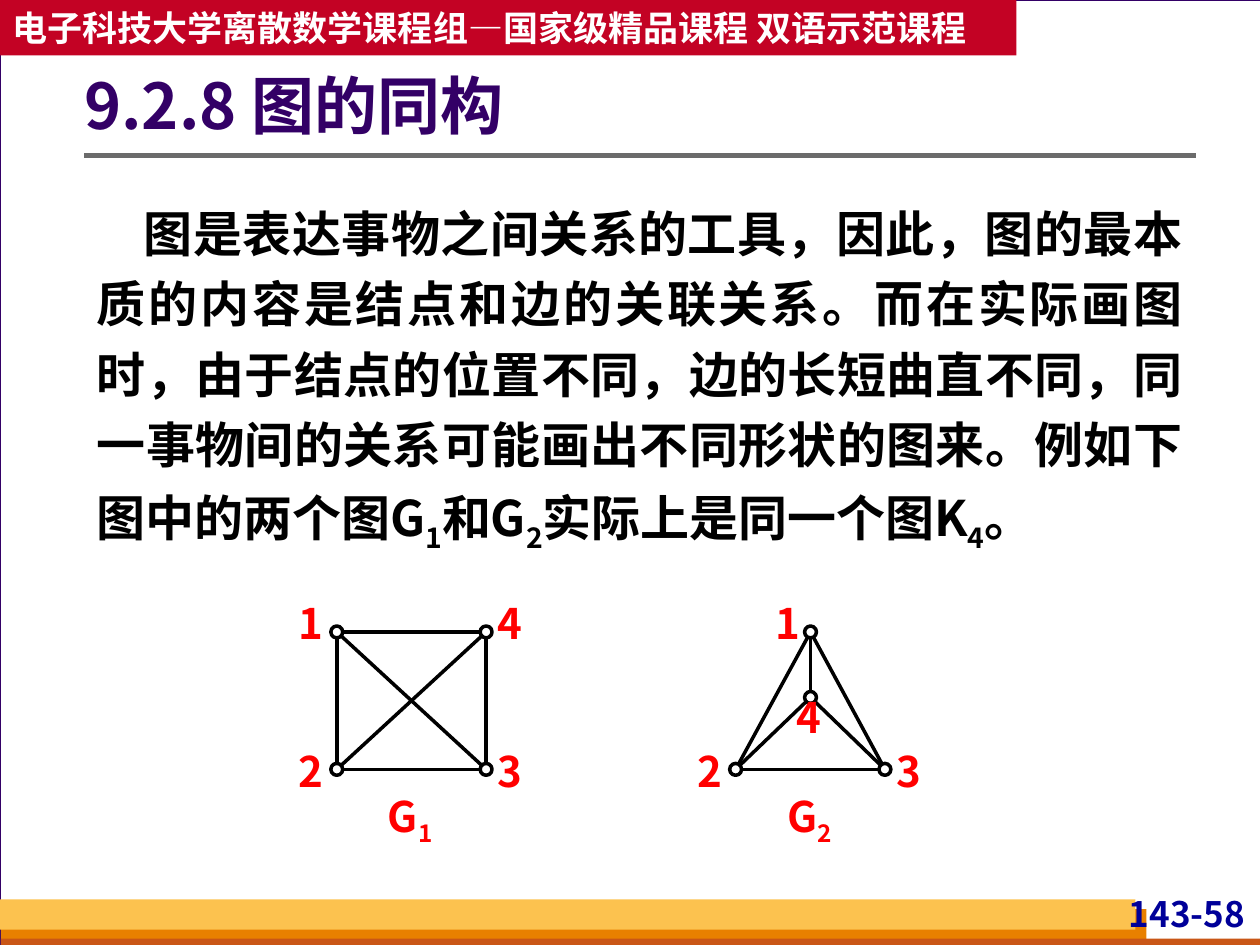
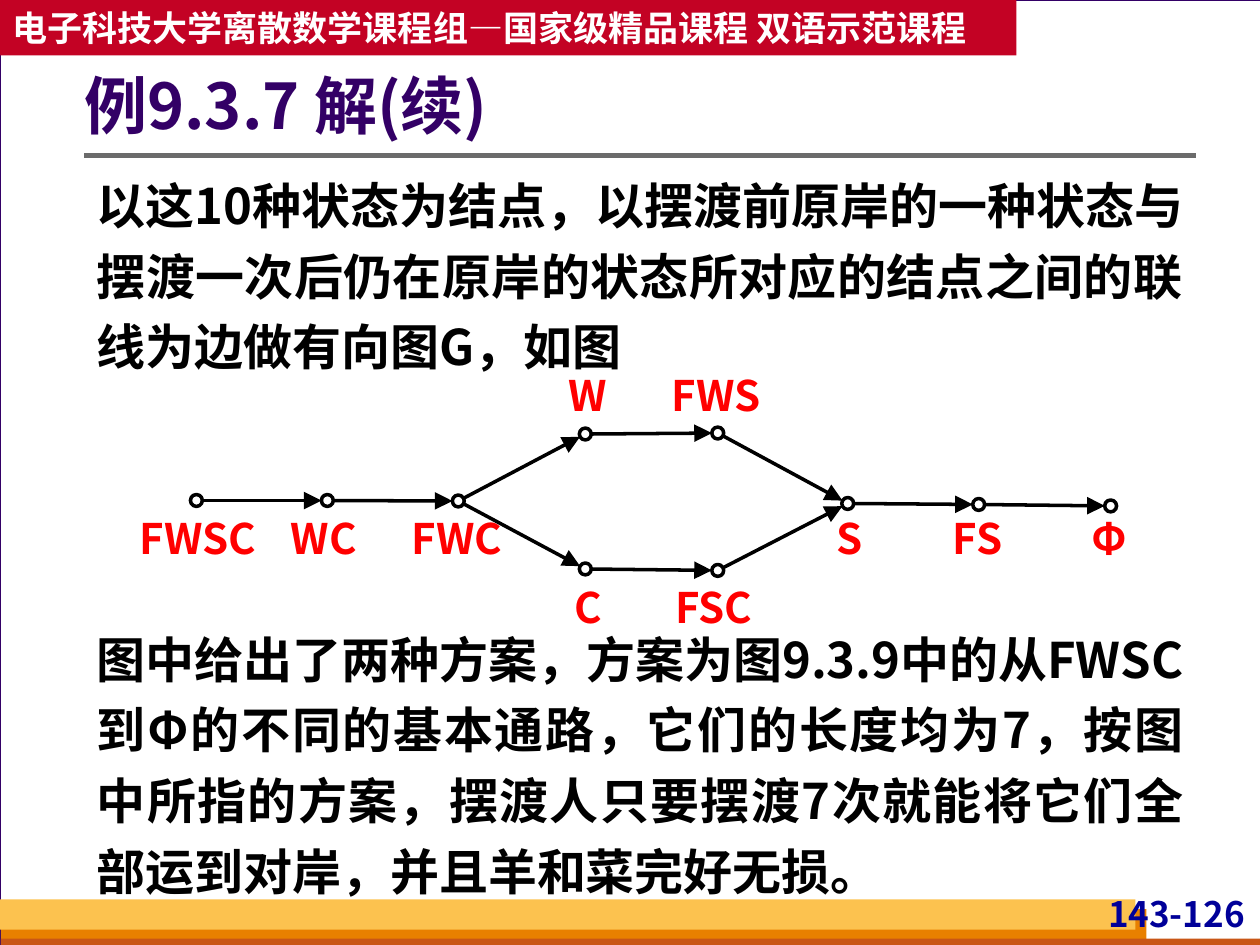
from math import hypot

from lxml import etree
from pptx import Presentation
from pptx.dml.color import RGBColor
from pptx.enum.shapes import MSO_CONNECTOR, MSO_SHAPE
from pptx.enum.text import MSO_ANCHOR, PP_ALIGN
from pptx.oxml.ns import qn
from pptx.util import Cm, Pt

FONT = "Noto Sans CJK SC"
WHITE = RGBColor(0xFF, 0xFF, 0xFF)
BLACK = RGBColor(0, 0, 0)
PURPLE = RGBColor(0x33, 0x00, 0x66)
NAVY = RGBColor(0x00, 0x00, 0x99)
CRIMSON = RGBColor(0xC3, 0x02, 0x24)
RED = RGBColor(0xFF, 0, 0)
GREY = RGBColor(0x6B, 0x6B, 0x6B)
AMBER = RGBColor(0xFC, 0xC2, 0x4F)
ORANGE = RGBColor(0xE8, 0x80, 0x00)
RUST = RGBColor(0xC9, 0x56, 0x16)
BACKDROP = RGBColor(0xD8, 0xDA, 0xDA)

HEADER = "电子科技大学离散数学课程组—国家级精品课程 双语示范课程"
RADIUS = 0.12

# left, top, width, height, fill
BANDS = [
    (0, 0, 25.42, 19.05, WHITE),
    (0.02, 18.33, 23.09, 0.72, ORANGE),
    (0.02, 18.92, 25.38, 0.13, RUST),
    (0, 18.13, 22.89, 0.61, AMBER),
    (0, 0, 20.49, 1.12, CRIMSON),
]

# Nodes: x, y, label offset from the node (centre, top), label width.
# In texts, "_" lowers the character after it.
SLIDES = [
    {
        "title": "9.2.8 图的同构",
        "number": "143-58",
        "texts": [
            (3.73, 7.57, 0.95,
             "图是表达事物之间关系的工具，因此，图的最本质的内容是结点和边的关联关系。"
             "而在实际画图时，由于结点的位置不同，边的长短曲直不同，"
             "同一事物间的关系可能画出不同形状的图来。"
             "例如下图中的两个图G_1和G_2实际上是同一个图K_4。"),
        ],
        "graphs": [
            {
                "nodes": {
                    "1": (6.79, 12.74, -0.52, -0.7, 0.75),
                    "2": (6.79, 15.51, -0.52, -0.48, 0.75),
                    "3": (9.8, 15.51, 0.47, -0.48, 0.75),
                    "4": (9.8, 12.74, 0.47, -0.7, 0.75),
                },
                "edges": ["1 2", "2 3", "3 4", "4 1", "1 3", "2 4"],
                "caption": ("G_1", 8.27),
            },
            {
                "nodes": {
                    "1": (16.34, 12.74, -0.46, -0.7, 0.75),
                    "2": (14.83, 15.51, -0.52, -0.48, 0.75),
                    "3": (17.84, 15.51, 0.48, -0.48, 0.75),
                    "4": (16.34, 14.06, -0.04, -0.11, 0.75),
                },
                "edges": ["1 2", "2 3", "3 1", "1 4", "2 4", "3 4"],
                "caption": ("G_2", 16.32),
            },
        ],
        "directed": False,
    },
    {
        "title": "例9.3.7 解(续)",
        "number": "143-126",
        "texts": [
            (3.17, 4.52, 0,
             "以这10种状态为结点，以摆渡前原岸的一种状态与摆渡一次后仍在原岸的状态"
             "所对应的结点之间的联线为边做有向图G，如图"),
            (12.32, 5.94, 0,
             "图中给出了两种方案，方案为图9.3.9中的从FWSC到Φ的不同的基本通路，"
             "它们的长度均为7，按图中所指的方案，摆渡人只要摆渡7次就能将它们全部运到对岸，"
             "并且羊和菜完好无损。"),
        ],
        "graphs": [
            {
                "nodes": {
                    "FWSC": (3.96, 10.09, 0.03, 0.25, 2.67),
                    "WC": (6.6, 10.09, -0.07, 0.25, 1.52),
                    "FWC": (9.24, 10.1, -0.03, 0.24, 2.18),
                    "W": (11.8, 8.75, 0.05, -1.3, 1.52),
                    "C": (11.8, 11.47, 0.05, 0.25, 1.52),
                    "FWS": (14.47, 8.73, -0.03, -1.28, 2.67),
                    "FSC": (14.47, 11.5, -0.08, 0.22, 2.67),
                    "S": (17.09, 10.15, 0.04, 0.19, 2.67),
                    "FS": (19.73, 10.17, -0.02, 0.17, 2.67),
                    "Φ": (22.39, 10.2, -0.02, 0.14, 1.52),
                },
                "edges": ["FWSC WC", "WC FWC", "FWC W", "FWC C", "W FWS",
                          "C FSC", "FWS S", "FSC S", "S FS", "FS Φ"],
            },
        ],
        "directed": True,
    },
]


def write(shape, text, size, color, align=PP_ALIGN.LEFT, inset=(0, 0, 0, 0)):
    """Fill a shape with one bold paragraph; "_" lowers the next character."""
    frame = shape.text_frame
    frame.word_wrap = True
    frame.margin_left, frame.margin_top, frame.margin_right, frame.margin_bottom = (
        Cm(side) for side in inset)
    para = frame.paragraphs[0]
    para.alignment = align
    first, *rest = text.split("_")
    pieces = [(first, False)]
    for part in rest:
        pieces += [(part[0], True), (part[1:], False)]
    for piece, lowered in pieces:
        if not piece:
            continue
        span = para.add_run()
        span.text = piece
        span.font.size = Pt(size)
        span.font.bold = True
        span.font.name = FONT
        span.font.color.rgb = color
        properties = span.font._element
        etree.SubElement(properties, qn("a:ea"), typeface=FONT)
        if lowered:
            properties.set("baseline", "-25000")
    return para


def add_line(page, start, end, color, width, arrow=False):
    line = page.shapes.add_connector(
        MSO_CONNECTOR.STRAIGHT, *(Cm(value) for value in (*start, *end)))
    line.line.color.rgb = color
    line.line.width = Pt(width)
    if arrow:
        etree.SubElement(line.line._get_or_add_ln(), qn("a:tailEnd"),
                         type="triangle", w="lg", len="lg")
    etree.SubElement(line._element.spPr, qn("a:effectLst"))


deck = Presentation()
deck.slide_width, deck.slide_height = Cm(25.4), Cm(19.05)

for content in SLIDES:
    page = deck.slides.add_slide(deck.slide_layouts[5])
    page.background.fill.solid()
    page.background.fill.fore_color.rgb = BACKDROP

    # Page frame, bands, rule and page number
    for left, top, width, height, fill in BANDS:
        band = page.shapes.add_shape(
            MSO_SHAPE.RECTANGLE, Cm(left), Cm(top), Cm(width), Cm(height))
        band.shadow.inherit = False
        band.fill.solid()
        band.fill.fore_color.rgb = fill
        if fill == WHITE:
            band.line.color.rgb = PURPLE
            band.line.width = Pt(0.75)
        else:
            band.line.fill.background()
        if fill == CRIMSON:
            write(band, HEADER, 20, WHITE, inset=(0.25, 0.13, 0.25, 0.13))
            band.text_frame.word_wrap = False
            band.text_frame.vertical_anchor = MSO_ANCHOR.MIDDLE
    add_line(page, (1.7, 3.13), (24.1, 3.13), GREY, 3)
    number = page.shapes.add_textbox(Cm(22.1), Cm(18), Cm(3.1), Cm(0.97))
    write(number, content["number"], 20, NAVY, PP_ALIGN.RIGHT, (0.1, 0, 0.1, 0))

    # The title placeholder comes first in the slide, so lift it above the page frame
    title = page.shapes.title
    page.shapes._spTree.append(title._element)
    title.left, title.top, title.width, title.height = Cm(1.7), Cm(0.91), Cm(22.4), Cm(2.57)
    para = write(title, content["title"], 36, PURPLE, inset=(0, 0.13, 0.25, 0.13))
    para.line_spacing = 0.9
    title.text_frame.vertical_anchor = MSO_ANCHOR.MIDDLE

    for top, height, indent, text in content["texts"]:
        box = page.shapes.add_textbox(Cm(1.7), Cm(top), Cm(22.4), Cm(height))
        para = write(box, text, 28, BLACK, PP_ALIGN.JUSTIFY, (0.25, 0.13, 0.25, 0.13))
        para.line_spacing = 1.2
        properties = para._p.get_or_add_pPr()
        properties.set("indent", str(Cm(indent)))
        properties.set("hangingPunct", "0")

    for graph in content["graphs"]:
        nodes = graph["nodes"]
        for edge in graph["edges"]:
            (x1, y1), (x2, y2) = (nodes[name][:2] for name in edge.split())
            length = hypot(x2 - x1, y2 - y1)
            dx, dy = (x2 - x1) / length * RADIUS, (y2 - y1) / length * RADIUS
            add_line(page, (x1 + dx, y1 + dy), (x2 - dx, y2 - dy), BLACK, 2,
                     content["directed"])

        labels = []
        for name, (x, y, shift, drop, width) in nodes.items():
            dot = page.shapes.add_shape(
                MSO_SHAPE.OVAL, Cm(x - RADIUS), Cm(y - RADIUS), Cm(2 * RADIUS), Cm(2 * RADIUS))
            dot.shadow.inherit = False
            dot.fill.solid()
            dot.fill.fore_color.rgb = WHITE
            dot.line.color.rgb = BLACK
            dot.line.width = Pt(2)
            labels.append((name, x + shift, y + drop, width))
        if "caption" in graph:
            caption, middle = graph["caption"]
            labels.append((caption, middle, 15.93, 1.5))
        for text, middle, top, width in labels:
            label = page.shapes.add_textbox(Cm(middle - width / 2), Cm(top), Cm(width), Cm(1.2))
            write(label, text, 24, RED, PP_ALIGN.CENTER)

deck.save("out.pptx")
